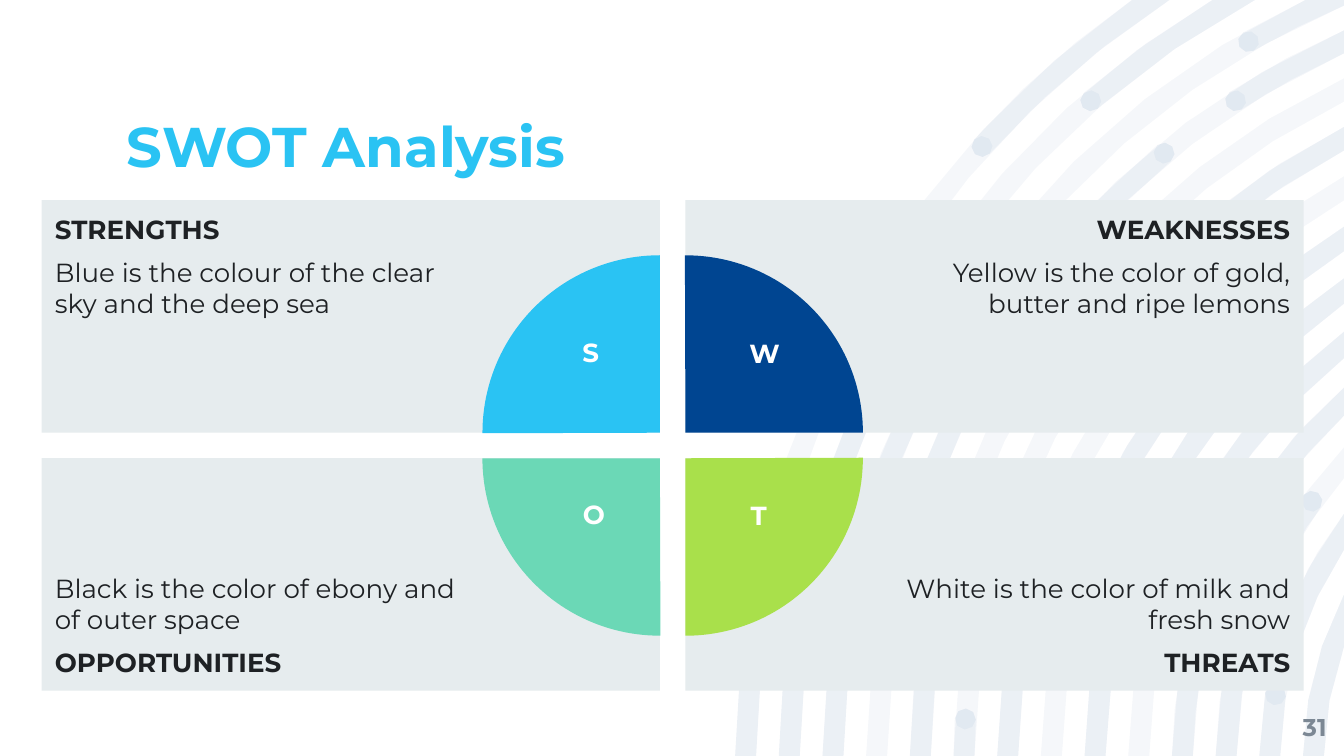
from dataclasses import dataclass
from math import acos, asin, ceil, cos, hypot, pi, sin, sqrt
from typing import Optional

from lxml.etree import SubElement
from pptx import Presentation
from pptx.dml.color import RGBColor
from pptx.enum.shapes import MSO_SHAPE
from pptx.enum.text import MSO_ANCHOR, PP_ALIGN
from pptx.oxml.ns import qn
from pptx.util import Inches, Pt

WIDTH, HEIGHT = 10, 5.625
CENTER_X, CENTER_Y = 12.39, 5.67
OUTER_RADIUS, RING_STEP, RING_WIDTH, RING_COUNT = 6.92, 0.325, 0.156, 14
CURVE_TOLERANCE = 0.01
FONT, NAVY, DARK, WHITE = "Montserrat", "004591", "1E2124", "FFFFFF"
PIE_SIZE = 2.64


@dataclass
class Arc:
    """Part of a ring between two dot heights; None runs to the slide edge."""
    ring: int
    low: Optional[float] = None
    high: Optional[float] = None


@dataclass
class Quadrant:
    """One field of the matrix with its letter, pie quarter and text."""
    column: int
    row: int
    rotation: int
    color: str
    letter: str
    letter_x: float
    letter_y: float
    heading: str
    body: str


ARCS = [
    Arc(0, high=3.5), Arc(0, low=1.09), Arc(1, high=3.04), Arc(1, low=0.75),
    Arc(2, high=4.98), Arc(2, 4.05, 2.19), Arc(2, low=0.31), Arc(3, 3.73, 1.14),
    Arc(3, low=0.75), Arc(4, high=3.53), Arc(5, high=5.35), Arc(5, low=2.81),
    Arc(6, high=4.44), Arc(6, 2.94, 1.87), Arc(7, low=4.94), Arc(8),
    Arc(9, low=4.33), Arc(10, high=4.94), Arc(10, low=3.95), Arc(11, high=3.73),
    Arc(12, high=5.17), Arc(12, low=4.76), Arc(13),
]
QUADRANTS = [
    Quadrant(0, 0, 0, "2AC3F3", "S", 4.395, 2.45, "STRENGTHS",
             "Blue is the colour of the clear sky and the deep sea"),
    Quadrant(1, 0, 90, NAVY, "W", 5.69, 2.46, "WEAKNESSES",
             "Yellow is the color of gold, butter and ripe lemons"),
    Quadrant(1, 1, 180, "A9E04B", "T", 5.645, 3.67, "THREATS",
             "White is the color of milk and fresh snow"),
    Quadrant(0, 1, 270, "6BD8B6", "O", 4.42, 3.66, "OPPORTUNITIES",
             "Black is the color of ebony and of outer space"),
]


def set_fill(shape, color: str, opacity: Optional[int] = None) -> None:
    """Give a shape a flat fill, optionally see-through, with no line or shadow."""
    shape.shadow.inherit = False
    shape.line.fill.background()
    shape.fill.solid()
    shape.fill.fore_color.rgb = RGBColor.from_string(color)
    if opacity is not None:
        color_element = next(shape._element.spPr.iter(qn("a:srgbClr")))
        SubElement(color_element, qn("a:alpha")).set("val", str(opacity * 1000))


def sweep(x: float, y: float, radius: float, start: float, end: float) -> list:
    """Return points on a circle, as few as the tolerance allows, clockwise from the left."""
    largest_step = min(0.8, sqrt(8 * CURVE_TOLERANCE / radius))
    steps = max(1, ceil(abs(end - start) / largest_step))
    angles = [start + (end - start) * step / steps for step in range(steps + 1)]
    return [(x - radius * cos(angle), y - radius * sin(angle)) for angle in angles]


def entry_angle(radius: float) -> float:
    """Return the angle at which a circle enters at the bottom edge."""
    return asin((CENTER_Y - HEIGHT) / radius)


def exit_angle(radius: float) -> float:
    """Return the angle at which a circle leaves at the top or right edge."""
    return min(acos((CENTER_X - WIDTH) / radius), asin(min(1, CENTER_Y / radius)))


def middle_radius(ring: int) -> float:
    """Return the radius of the centre line of a ring."""
    return OUTER_RADIUS - ring * RING_STEP - RING_WIDTH / 2


def dot_angle(ring: int, height: float) -> float:
    """Return the angle of a dot at a given height on a ring."""
    return asin((CENTER_Y - height) / middle_radius(ring))


def dot(ring: int, height: float, start: float = 0, end: float = 2 * pi) -> list:
    """Return the outline of a dot, or part of it, on a ring."""
    angle = dot_angle(ring, height)
    radius = middle_radius(ring)
    x, y = CENTER_X - radius * cos(angle), CENTER_Y - radius * sin(angle)
    return sweep(x, y, RING_WIDTH / 2, angle + start, angle + end)


def band(arc: Arc) -> list:
    """Return the outline of an arc with round ends at its dots."""
    outer = middle_radius(arc.ring) + RING_WIDTH / 2
    inner = outer - RING_WIDTH
    starts = [entry_angle(radius) if arc.low is None else dot_angle(arc.ring, arc.low)
              for radius in (outer, inner)]
    ends = [exit_angle(radius) if arc.high is None else dot_angle(arc.ring, arc.high)
            for radius in (outer, inner)]
    points = sweep(CENTER_X, CENTER_Y, outer, starts[0], ends[0])
    if arc.high is not None:
        points += dot(arc.ring, arc.high, 0, pi)
    elif inner < hypot(CENTER_X - WIDTH, CENTER_Y) < outer:
        points.append((WIDTH, 0))
    points += sweep(CENTER_X, CENTER_Y, inner, ends[1], starts[1])
    if arc.low is not None:
        points += dot(arc.ring, arc.low, pi, 2 * pi)
    return points


def draw_outlines(slide, outlines: list) -> None:
    """Draw outlines as one pale freeform."""
    contours = [[(Inches(x), Inches(y)) for x, y in outline] for outline in outlines]
    builder = slide.shapes.build_freeform(*contours[0][0])
    for index, contour in enumerate(contours):
        if index:
            builder.move_to(*contour[0])
        builder.add_line_segments(contour[1:], close=True)
    set_fill(builder.convert_to_shape(), NAVY, opacity=4)


def write(paragraph, text: str, *, size: float = 14, color: str = DARK,
          bold: bool = False, align=PP_ALIGN.LEFT, before: float = 0,
          after: float = 0, spacing: float = 1) -> None:
    """Write one formatted run into a paragraph."""
    paragraph.alignment = align
    paragraph.space_before, paragraph.space_after = Pt(before), Pt(after)
    paragraph.line_spacing = spacing
    run = paragraph.add_run()
    run.text = text
    run.font.name, run.font.size, run.font.bold = FONT, Pt(size), bold
    run.font.color.rgb = RGBColor.from_string(color)


def set_frame(shape, anchor, left: float = 0, right: float = 0, vertical: float = 0):
    """Set wrapping, anchor and margins and return the text frame."""
    frame = shape.text_frame
    frame.word_wrap, frame.vertical_anchor = True, anchor
    frame.margin_left, frame.margin_right = Inches(left), Inches(right)
    frame.margin_top = frame.margin_bottom = Inches(vertical)
    return frame


def add_label(slide, text: str, x: float, y: float, width: float, height: float,
              anchor=MSO_ANCHOR.TOP, margin: float = 0, **text_format) -> None:
    """Add a text box with one bold paragraph."""
    box = slide.shapes.add_textbox(Inches(x), Inches(y), Inches(width), Inches(height))
    frame = set_frame(box, anchor, margin, margin, margin)
    write(frame.paragraphs[0], text, bold=True, **text_format)


def draw_panel(slide, quadrant: Quadrant) -> None:
    """Draw the grey panel of a quadrant with its heading and body."""
    panel = slide.shapes.add_shape(
        MSO_SHAPE.RECTANGLE, Inches(0.31 + 4.79 * quadrant.column),
        Inches(1.49 + 1.92 * quadrant.row), Inches(4.6), Inches(1.73))
    set_fill(panel, "E6ECEE")
    left, right = (1.5, 0.1) if quadrant.column else (0.1, 1.5)
    anchor = MSO_ANCHOR.BOTTOM if quadrant.row else MSO_ANCHOR.TOP
    align = PP_ALIGN.RIGHT if quadrant.column else PP_ALIGN.LEFT
    frame = set_frame(panel, anchor, left, right, 0.1)
    lines = [(quadrant.heading, True), (quadrant.body, False)]
    first, second = reversed(lines) if quadrant.row else lines
    write(frame.paragraphs[0], first[0], bold=first[1], align=align)
    write(frame.add_paragraph(), second[0], bold=second[1], align=align, before=6, after=6)


def draw_quarter(slide, quadrant: Quadrant) -> None:
    """Draw the pie quarter of a quadrant."""
    pie = slide.shapes.add_shape(
        MSO_SHAPE.PIE, Inches(3.59 + 0.19 * quadrant.column),
        Inches(1.9 + 0.19 * quadrant.row), Inches(PIE_SIZE), Inches(PIE_SIZE))
    pie.adjustments[0], pie.adjustments[1] = 107.89, 162
    pie.rotation = quadrant.rotation
    set_fill(pie, quadrant.color)


def main() -> None:
    """Build and save the slide."""
    presentation = Presentation()
    presentation.slide_width, presentation.slide_height = Inches(WIDTH), Inches(HEIGHT)
    slide = presentation.slides.add_slide(presentation.slide_layouts[6])
    draw_outlines(slide, [band(Arc(ring)) for ring in range(RING_COUNT)])
    draw_outlines(slide, [band(arc) for arc in ARCS])
    draw_outlines(slide, [dot(arc.ring, height) for arc in ARCS
                          for height in (arc.low, arc.high) if height is not None])
    add_label(slide, "SWOT Analysis", 0.94, 0.91, 8.13, 0.43, MSO_ANCHOR.BOTTOM,
              size=30, color="2AC3F3", spacing=0.9)
    add_label(slide, "31", 9.27, 5.19, 0.6, 0.43, MSO_ANCHOR.MIDDLE,
              size=13, color="7C8894", align=PP_ALIGN.RIGHT)
    for draw in (draw_panel, draw_quarter):
        for quadrant in QUADRANTS:
            draw(slide, quadrant)
    for quadrant in QUADRANTS:
        add_label(slide, quadrant.letter, quadrant.letter_x - 0.3, quadrant.letter_y,
                  0.6, 0.48, margin=0.05, color=WHITE, align=PP_ALIGN.CENTER)
    presentation.save("out.pptx")


if __name__ == "__main__":
    main()
